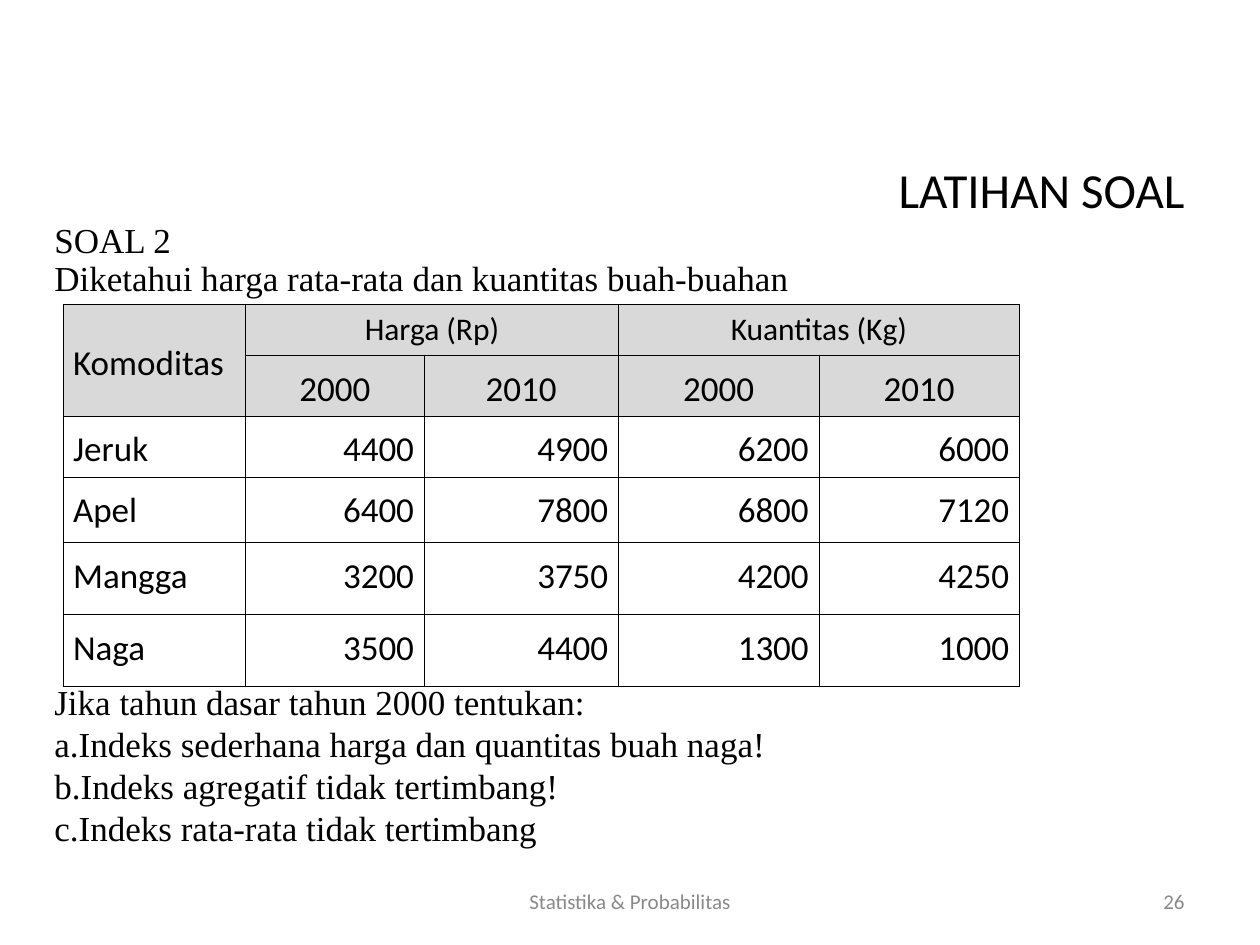
from lxml import etree
from pptx import Presentation
from pptx.dml.color import RGBColor
from pptx.enum.text import MSO_ANCHOR, PP_ALIGN
from pptx.oxml.ns import qn
from pptx.util import Inches, Pt

LEFT, CENTER, RIGHT, JUSTIFY = (
    PP_ALIGN.LEFT, PP_ALIGN.CENTER, PP_ALIGN.RIGHT, PP_ALIGN.JUSTIFY)
TOP, MIDDLE = MSO_ANCHOR.TOP, MSO_ANCHOR.MIDDLE
TITLE_ONLY = 5
WIDTH, HEIGHT = Inches(10), Inches(7.5)
GRID_COLUMNS, GRID_ROWS = 120, 90

COLUMN_SPANS = [17.4, 17, 18.5, 19.1, 19.1]
ROW_SPANS = [4.6, 4.6, 5.5, 6.2, 6.9, 6.9]
FRUIT_TABLE = [
    ["Komoditas", "Harga (Rp)", "", "Kuantitas (Kg)", ""],
    ["", "2000", "2010", "2000", "2010"],
    ["Jeruk", "4400", "4900", "6200", "6000"],
    ["Apel", "6400", "7800", "6800", "7120"],
    ["Mangga", "3200", "3750", "4200", "4250"],
    ["Naga", "3500", "4400", "1300", "1000"],
]
HEADER_MERGES = [((0, 0), (1, 0)), ((0, 1), (0, 2)), ((0, 3), (0, 4))]
INTRO = ["SOAL 2", "Diketahui harga rata-rata dan kuantitas buah-buahan"]
PROMPT = "Jika tahun dasar tahun 2000 tentukan:"
QUESTIONS = [
    "Indeks sederhana harga dan quantitas buah naga!",
    "Indeks agregatif tidak tertimbang!",
    "Indeks rata-rata tidak tertimbang",
]


def color(hex_string):
    return RGBColor.from_string(hex_string)


def across(columns):
    return round(WIDTH * columns / GRID_COLUMNS)


def down(rows):
    return round(HEIGHT * rows / GRID_ROWS)


class ExerciseSlide:
    heading_font = "Calibri"
    body_font = "Times New Roman"
    ink, muted, header_fill = "000000", "898989", "D9D9D9"
    border_width = Pt(0.45)

    def __init__(self, slide):
        self.slide = slide

    def format(self, paragraph, size, align, font=heading_font, ink=ink):
        paragraph.alignment = align
        for run in paragraph.runs:
            run.font.name = font
            run.font.size = Pt(size)
            run.font.color.rgb = color(ink)

    def title(self, text, left, top, width, height):
        title = self.slide.shapes.title
        title.left, title.top = across(left), down(top)
        title.width, title.height = across(width), down(height)
        title.text_frame.text = text
        title.text_frame.vertical_anchor = MIDDLE
        self.format(title.text_frame.paragraphs[0], 28, RIGHT)

    def text_box(self, left, top, width, height, anchor=TOP):
        frame = self.slide.shapes.add_textbox(
            across(left), down(top), across(width), down(height)).text_frame
        frame.word_wrap = True
        frame.vertical_anchor = anchor
        return frame

    def footer(self, text, left, width, align):
        frame = self.text_box(left, 83.4, width, 4.8, MIDDLE)
        frame.text = text
        self.format(frame.paragraphs[0], 12, align, ink=self.muted)

    def letter(self, paragraph):
        """Number the paragraph a., b., c. with a hanging indent."""
        properties = paragraph._p.get_or_add_pPr()
        indent = Inches(0.19)
        properties.set("marL", str(indent))
        properties.set("indent", str(-indent))
        etree.SubElement(properties, qn("a:buAutoNum"), type="alphaLcPeriod")

    def exercise(self, left, top, width, height):
        frame = self.text_box(left, top, width, height)
        frame.text = "\n".join([*INTRO, PROMPT, *QUESTIONS])
        for index, paragraph in enumerate(frame.paragraphs):
            is_intro = index < len(INTRO)
            if index > len(INTRO):
                self.letter(paragraph)
            paragraph.line_spacing = Pt(21.7 if is_intro else 24)
            if index == len(INTRO):
                paragraph.space_before = Pt(218)  # room for the table
            self.format(paragraph, 20, JUSTIFY if is_intro else LEFT,
                        self.body_font)

    def border(self, cell):
        properties = cell._tc.get_or_add_tcPr()
        for position, side in enumerate(("lnL", "lnR", "lnT", "lnB")):
            line = etree.Element(qn(f"a:{side}"), w=str(self.border_width))
            fill = etree.SubElement(line, qn("a:solidFill"))
            etree.SubElement(fill, qn("a:srgbClr"), val=self.ink)
            properties.insert(position, line)

    def cell(self, cell, text, row, column):
        is_header, is_group = row < 2, row == 0 and column > 0
        cell.margin_left = cell.margin_right = Inches(0.08)
        cell.margin_top = cell.margin_bottom = Inches(0.05)
        cell.vertical_anchor = MIDDLE if is_header and not is_group else TOP
        if is_header:
            cell.fill.solid()
            cell.fill.fore_color.rgb = color(self.header_fill)
        else:
            cell.fill.background()
        self.border(cell)
        if text:
            cell.text_frame.text = text
            paragraph = cell.text_frame.paragraphs[0]
            align = JUSTIFY if column == 0 else CENTER if is_header else RIGHT
            if not is_group:
                paragraph.line_spacing = 1.15
            self.format(paragraph, 18 if is_group else 20, align)

    def table(self, rows, left, top):
        table = self.slide.shapes.add_table(
            len(rows), len(rows[0]), across(left), down(top),
            across(sum(COLUMN_SPANS)), down(sum(ROW_SPANS))).table
        table.first_row = table.horz_banding = False
        for column, span in zip(table.columns, COLUMN_SPANS):
            column.width = across(span)
        for row, span in zip(table.rows, ROW_SPANS):
            row.height = down(span)
        for first, last in HEADER_MERGES:
            table.cell(*first).merge(table.cell(*last))
        for r, row in enumerate(rows):
            for c, text in enumerate(row):
                self.cell(table.cell(r, c), text, r, c)


def main():
    deck = Presentation()
    deck.slide_width, deck.slide_height = WIDTH, HEIGHT
    page = ExerciseSlide(deck.slides.add_slide(deck.slide_layouts[TITLE_ONLY]))
    page.title("LATIHAN SOAL", 6, 14, 108, 8)
    page.exercise(4, 20.6, 109, 68)
    page.footer("26", 86, 28, RIGHT)
    page.footer("Statistika & Probabilitas", 41, 38, CENTER)
    page.table(FRUIT_TABLE, 6, 29)
    deck.save("out.pptx")


if __name__ == "__main__":
    main()
